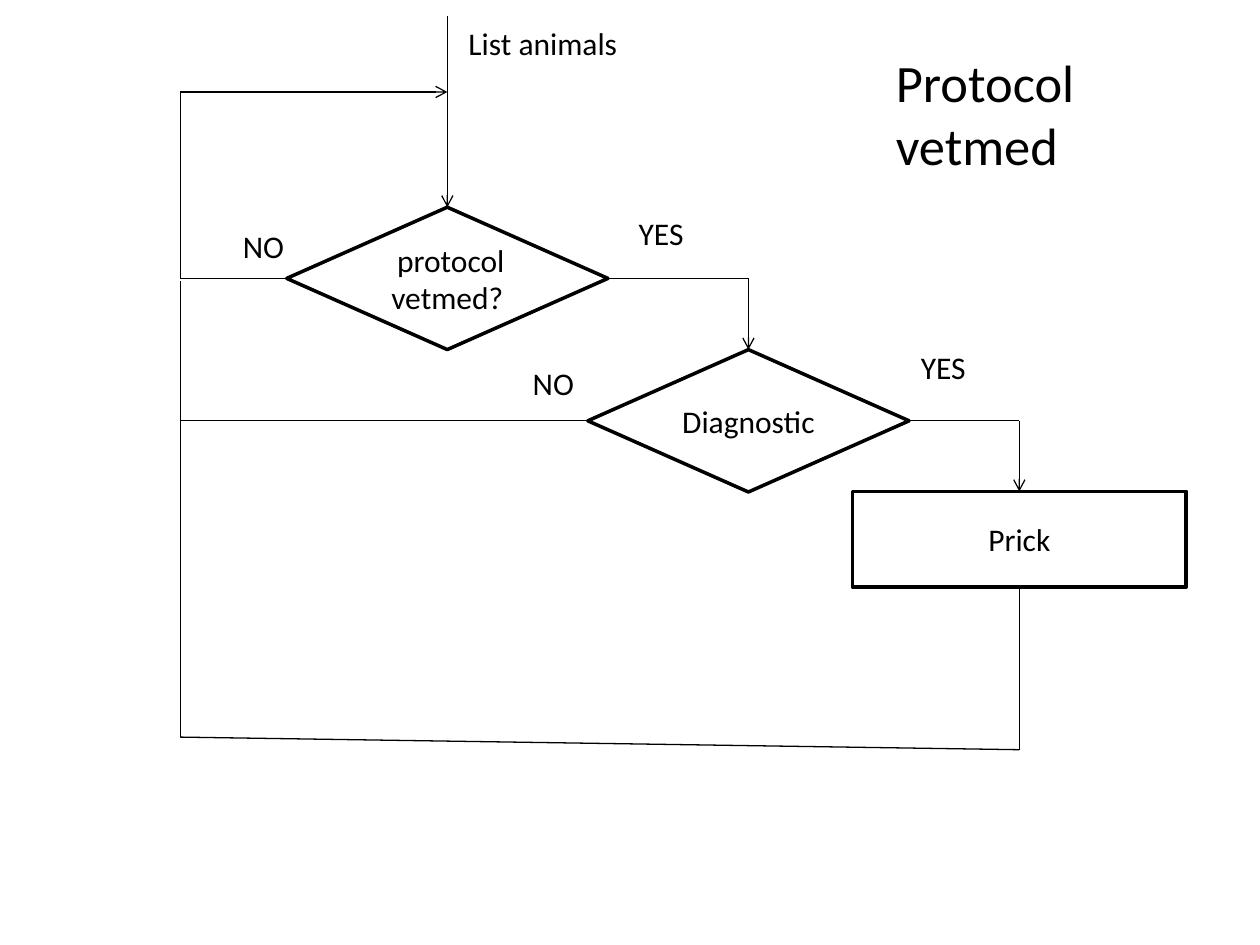
from lxml.etree import SubElement
from pptx import Presentation
from pptx.dml.color import RGBColor
from pptx.enum.shapes import MSO_CONNECTOR, MSO_SHAPE
from pptx.enum.text import MSO_ANCHOR, MSO_AUTO_SIZE, PP_ALIGN
from pptx.oxml.ns import qn
from pptx.util import Inches, Pt

INK, PAPER, FONT = "000000", "FFFFFF", "Calibri"

# Columns and rows of the flowchart, in inches
LOOP_X, CHECK_X, DIAGNOSTIC_X, PRICK_X = 1.43, 3.55, 5.94, 8.09
START_Y, RETURN_Y, CHECK_Y, DIAGNOSTIC_Y, PRICK_Y = 0.13, 0.73, 2.21, 3.34, 4.28
LOOP_END_Y, PRICK_END_Y = 5.85, 5.95
DECISION, ACTION = (2.55, 1.13), (2.65, 0.76)
HALF_W, HALF_H = DECISION[0] / 2, DECISION[1] / 2
ACTION_HALF_H = ACTION[1] / 2

TITLE = ("Protocol\nvetmed", 7.01, 0.35, 1.65, 1.11)
STEPS = [  # text, preset, centre, size
    (" protocol\nvetmed?", MSO_SHAPE.DIAMOND, (CHECK_X, CHECK_Y), DECISION),
    ("Diagnostic", MSO_SHAPE.DIAMOND, (DIAGNOSTIC_X, DIAGNOSTIC_Y), DECISION),
    ("Prick", MSO_SHAPE.RECTANGLE, (PRICK_X, PRICK_Y), ACTION),
]
LABELS = [  # text, left, top, width
    ("List animals", 3.62, 0.14, 1.4),
    ("NO", 1.83, 1.75, 0.53),
    ("YES", 4.97, 1.65, 0.57),
    ("NO", 4.13, 2.84, 0.53),
    ("YES", 7.21, 2.71, 0.57),
]
ROUTES = [  # corner points, arrow at the end
    ([(CHECK_X, START_Y), (CHECK_X, CHECK_Y - HALF_H)], True),
    ([(CHECK_X - HALF_W, CHECK_Y), (LOOP_X, CHECK_Y), (LOOP_X, RETURN_Y),
      (CHECK_X, RETURN_Y)], True),
    ([(CHECK_X + HALF_W, CHECK_Y), (DIAGNOSTIC_X, CHECK_Y),
      (DIAGNOSTIC_X, DIAGNOSTIC_Y - HALF_H)], True),
    ([(DIAGNOSTIC_X - HALF_W, DIAGNOSTIC_Y), (LOOP_X, DIAGNOSTIC_Y),
      (LOOP_X, CHECK_Y + 0.02)], False),
    ([(DIAGNOSTIC_X + HALF_W, DIAGNOSTIC_Y), (PRICK_X, DIAGNOSTIC_Y),
      (PRICK_X, PRICK_Y - ACTION_HALF_H)], True),
    ([(PRICK_X, PRICK_Y + ACTION_HALF_H), (PRICK_X, PRICK_END_Y),
      (LOOP_X, LOOP_END_Y), (LOOP_X, DIAGNOSTIC_Y)], False),
]


def color(hex_code):
    """Turn a hex string into a colour."""
    return RGBColor.from_string(hex_code)


def write(frame, text, size, align):
    """Put text in a frame and format its runs."""
    frame.text = text
    for paragraph in frame.paragraphs:
        paragraph.alignment = align
        for run in paragraph.runs:
            run.font.size, run.font.name = Pt(size), FONT
            run.font.color.rgb = color(INK)


def add_step(slide, text, preset, centre, size):
    """Draw an outlined flowchart step around its centre."""
    (x, y), (width, height) = centre, size
    step = slide.shapes.add_shape(preset, Inches(x - width / 2), Inches(y - height / 2),
                                  Inches(width), Inches(height))
    step.shadow.inherit = False
    step.fill.solid()
    step.fill.fore_color.rgb = color(PAPER)
    step.line.color.rgb, step.line.width = color(INK), Pt(2)
    step.text_frame.vertical_anchor = MSO_ANCHOR.MIDDLE
    write(step.text_frame, text, 18, PP_ALIGN.CENTER)


def add_route(slide, points, arrow):
    """Join the points with straight lines, ending in an arrow if asked."""
    for start, end in zip(points, points[1:]):
        line = slide.shapes.add_connector(MSO_CONNECTOR.STRAIGHT,
                                          *map(Inches, (*start, *end)))
        line.line.color.rgb, line.line.width = color(INK), Pt(0.75)
        if arrow and end == points[-1]:
            SubElement(line.line._get_or_add_ln(), qn("a:tailEnd"), type="arrow")
        SubElement(line._element.spPr, qn("a:effectLst"))


def add_label(slide, text, left, top, width):
    """Place an unwrapped caption."""
    label = slide.shapes.add_textbox(*map(Inches, (left, top, width, 0.4)))
    label.text_frame.word_wrap = False
    label.text_frame.auto_size = MSO_AUTO_SIZE.SHAPE_TO_FIT_TEXT
    write(label.text_frame, text, 18, PP_ALIGN.LEFT)


def set_title(slide, text, *box):
    """Move and format the title placeholder."""
    title = slide.shapes.title
    title.left, title.top, title.width, title.height = map(Inches, box)
    title.text_frame.word_wrap = False
    title.text_frame.auto_size = MSO_AUTO_SIZE.SHAPE_TO_FIT_TEXT
    title.text_frame.vertical_anchor = MSO_ANCHOR.TOP
    write(title.text_frame, text, 30, PP_ALIGN.LEFT)


deck = Presentation()
deck.slide_width, deck.slide_height = Inches(10), Inches(7.5)
flowchart = deck.slides.add_slide(deck.slide_layouts[5])
set_title(flowchart, *TITLE)
for step in STEPS:
    add_step(flowchart, *step)
for route in ROUTES:
    add_route(flowchart, *route)
for label in LABELS:
    add_label(flowchart, *label)
deck.save("out.pptx")
